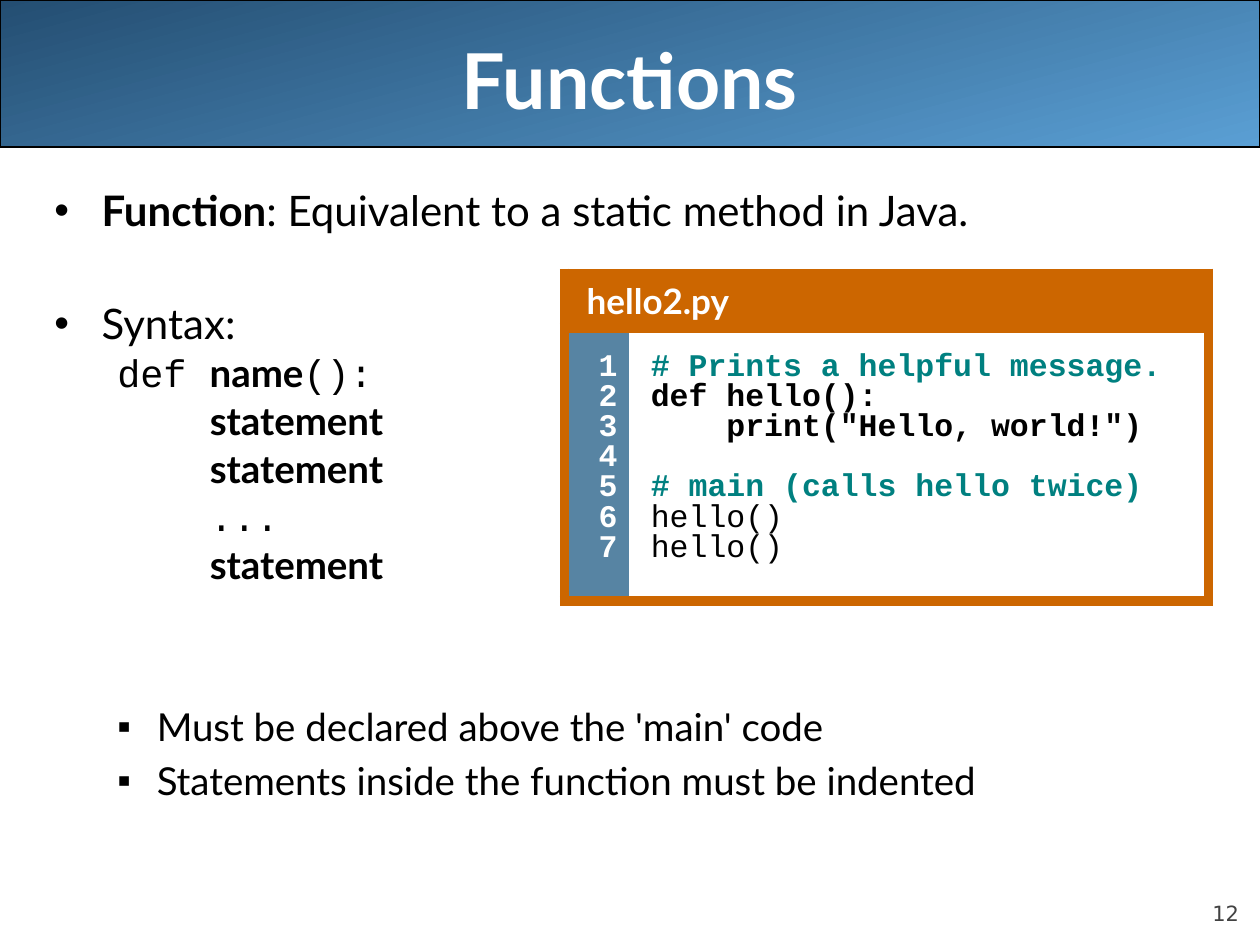
from lxml import etree
from pptx import Presentation
from pptx.dml.color import RGBColor
from pptx.enum.shapes import MSO_SHAPE
from pptx.enum.text import MSO_ANCHOR, PP_ALIGN
from pptx.oxml.ns import qn
from pptx.util import Pt

LEFT, CENTER, RIGHT = PP_ALIGN.LEFT, PP_ALIGN.CENTER, PP_ALIGN.RIGHT
TOP, MIDDLE, BOTTOM = MSO_ANCHOR.TOP, MSO_ANCHOR.MIDDLE, MSO_ANCHOR.BOTTOM
ROUNDED = MSO_SHAPE.ROUNDED_RECTANGLE

BLACK = RGBColor(0x00, 0x00, 0x00)
WHITE = RGBColor(0xFF, 0xFF, 0xFF)
GRAY = RGBColor(0x42, 0x42, 0x42)
NAVY = RGBColor(0x24, 0x4E, 0x72)
SKY = RGBColor(0x5A, 0x9F, 0xD4)
ORANGE = RGBColor(0xCC, 0x66, 0x00)
STEEL = RGBColor(0x57, 0x84, 0xA3)
TEAL = RGBColor(0x00, 0x80, 0x80)

BODY_FONT = "Lato"
CODE_FONT = "Courier New"
NUMBER_FONT = "DejaVu Sans"

SYNTAX_LINES = [
    [("def ", False), ("name", True), ("():", False)],
    [("statement", True)],
    [("statement", True)],
    [("...", False)],
    [("statement", True)],
]
CODE_LINES = [
    ("# Prints a helpful message.", TEAL, True, 0),
    ("def hello():", BLACK, True, 0),
    ('print("Hello, world!")', BLACK, True, 4),
    ("", BLACK, True, 0),
    ("# main (calls hello twice)", TEAL, True, 0),
    ("hello()", BLACK, False, 0),
    ("hello()", BLACK, False, 0),
]
RULES = [
    "Must be declared above the 'main' code",
    "Statements inside the function must be indented",
]


def write_text(paragraph, text, *, font=BODY_FONT, size=22, color=BLACK, bold=False):
    run = paragraph.add_run()
    run.text = text
    run.font.name = font
    run.font.size = Pt(size)
    run.font.color.rgb = color
    run.font.bold = bold


class SlideBuilder:
    border_color = ORANGE
    border_width = 6
    code_size = 18
    code_pitch = 17.3
    code_indent = 9

    def __init__(self, slide):
        self.slide = slide

    def banner(self, left, top, width, height):
        shape = self.slide.shapes.add_shape(ROUNDED, Pt(left), Pt(top), Pt(width), Pt(height))
        shape.shadow.inherit = False
        shape.adjustments[0] = 0
        shape.fill.gradient()
        shape.fill.gradient_angle = 285
        for stop, position, color in zip(shape.fill.gradient_stops, (0, 1), (NAVY, SKY)):
            stop.position = position
            stop.color.rgb = color
        shape.line.color.rgb = BLACK
        shape.line.width = Pt(0.75)

    def text_box(self, left, top, width, height, anchor=TOP, inset=None):
        shape = self.slide.shapes.add_textbox(Pt(left), Pt(top), Pt(width), Pt(height))
        frame = shape.text_frame
        frame.word_wrap = True
        frame.vertical_anchor = anchor
        if inset is not None:
            frame.margin_left = frame.margin_right = Pt(inset)
            frame.margin_top = frame.margin_bottom = Pt(inset)
        return frame

    def paragraph(self, frame, *, align=LEFT, before=0, spacing=1, margin=0, hang=0, bullet=None):
        paragraph = frame.paragraphs[0]
        if paragraph.runs:
            paragraph = frame.add_paragraph()
        paragraph.alignment = align
        paragraph.space_before = Pt(before)
        paragraph.line_spacing = spacing
        properties = paragraph._p.get_or_add_pPr()
        properties.set("marL", str(Pt(margin)))
        properties.set("indent", str(Pt(-hang)))
        if bullet:
            etree.SubElement(properties, qn("a:buFont"), typeface="Arial")
            etree.SubElement(properties, qn("a:buChar"), char=bullet)
        return paragraph

    def cell(self, cell, fill, margins, edges="LRTB"):
        cell.margin_left, cell.margin_top, cell.margin_right, cell.margin_bottom = map(Pt, margins)
        properties = cell._tc.get_or_add_tcPr()
        for edge in "LRTB":
            line = etree.SubElement(properties, qn(f"a:ln{edge}"))
            if edge in edges:
                line.set("w", str(Pt(self.border_width)))
                paint = etree.SubElement(line, qn("a:solidFill"))
                etree.SubElement(paint, qn("a:srgbClr"), val=str(self.border_color))
            else:
                etree.SubElement(line, qn("a:noFill"))
        cell.fill.solid()
        cell.fill.fore_color.rgb = fill
        return cell.text_frame

    def code_line(self, frame, text, *, color, bold=True, align=LEFT, columns=0, skipped=0):
        paragraph = self.paragraph(
            frame, align=align, spacing=0.67,
            before=self.code_size * 0.2 + skipped * self.code_pitch,
            margin=self.code_indent + columns * self.code_size * 0.6,
        )
        write_text(paragraph, text, font=CODE_FONT, size=self.code_size, color=color, bold=bold)

    def code_table(self, left, top, columns, rows, file_name, lines):
        table = self.slide.shapes.add_table(
            len(rows), len(columns), Pt(left), Pt(top), Pt(sum(columns)), Pt(sum(rows))
        ).table
        table.first_row = table.horz_banding = False
        for column, width in zip(table.columns, columns):
            column.width = Pt(width)
        for row, height in zip(table.rows, rows):
            row.height = Pt(height)

        table.cell(0, 0).merge(table.cell(0, 1))
        self.cell(table.cell(0, 1), ORANGE, (3.6,) * 4)
        header = self.cell(table.cell(0, 0), ORANGE, (3.6,) * 4)
        paragraph = self.paragraph(header, before=4, margin=self.code_indent)
        write_text(paragraph, file_name, size=20, color=WHITE, bold=True)

        numbers = self.cell(table.cell(1, 0), STEEL, (3.6, 16.5, 6.5, 16.5), "LTB")
        code = self.cell(table.cell(1, 1), WHITE, (3.6, 16.5, 13, 16.5), "RTB")
        skipped = 0
        for number, (text, color, bold, indent) in enumerate(lines, 1):
            self.code_line(numbers, str(number), color=WHITE, align=RIGHT)
            if text:
                self.code_line(code, text, color=color, bold=bold, columns=indent, skipped=skipped)
                skipped = 0
            else:
                skipped += 1


def main():
    presentation = Presentation()
    presentation.slide_width, presentation.slide_height = Pt(720), Pt(540)
    builder = SlideBuilder(presentation.slides.add_slide(presentation.slide_layouts[6]))

    builder.banner(0, 0, 720, 84)
    number = builder.text_box(648, 500.4, 60, 28.8, BOTTOM, 0)
    write_text(builder.paragraph(number, align=RIGHT), "12", font=NUMBER_FONT, size=12, color=GRAY)
    title = builder.text_box(36, 0, 648, 90, MIDDLE)
    write_text(builder.paragraph(title, align=CENTER), "Functions", size=44, color=WHITE, bold=True)

    body = builder.text_box(24, 102.2, 684, 390)
    definition = builder.paragraph(body, margin=27, hang=27, bullet="•")
    write_text(definition, "Function", size=24, bold=True)
    write_text(definition, ": Equivalent to a static method in Java.", size=24)
    syntax = builder.paragraph(body, before=35.6, margin=27, hang=27, bullet="•")
    write_text(syntax, "Syntax:", size=24)
    for index, runs in enumerate(SYNTAX_LINES):
        paragraph = builder.paragraph(body, before=4.4, spacing=0.87, margin=88.8 if index else 36)
        for text, bold in runs:
            write_text(paragraph, text, font=BODY_FONT if bold else CODE_FONT, bold=bold)
    for index, text in enumerate(RULES):
        before = 4.4 if index else 66
        paragraph = builder.paragraph(body, before=before, margin=58.5, hang=22.5, bullet="▪")
        write_text(paragraph, text)

    builder.code_table(322.6, 156.2, (36.7, 331.2), (31, 149), "hello2.py", CODE_LINES)
    presentation.save("out.pptx")


if __name__ == "__main__":
    main()
